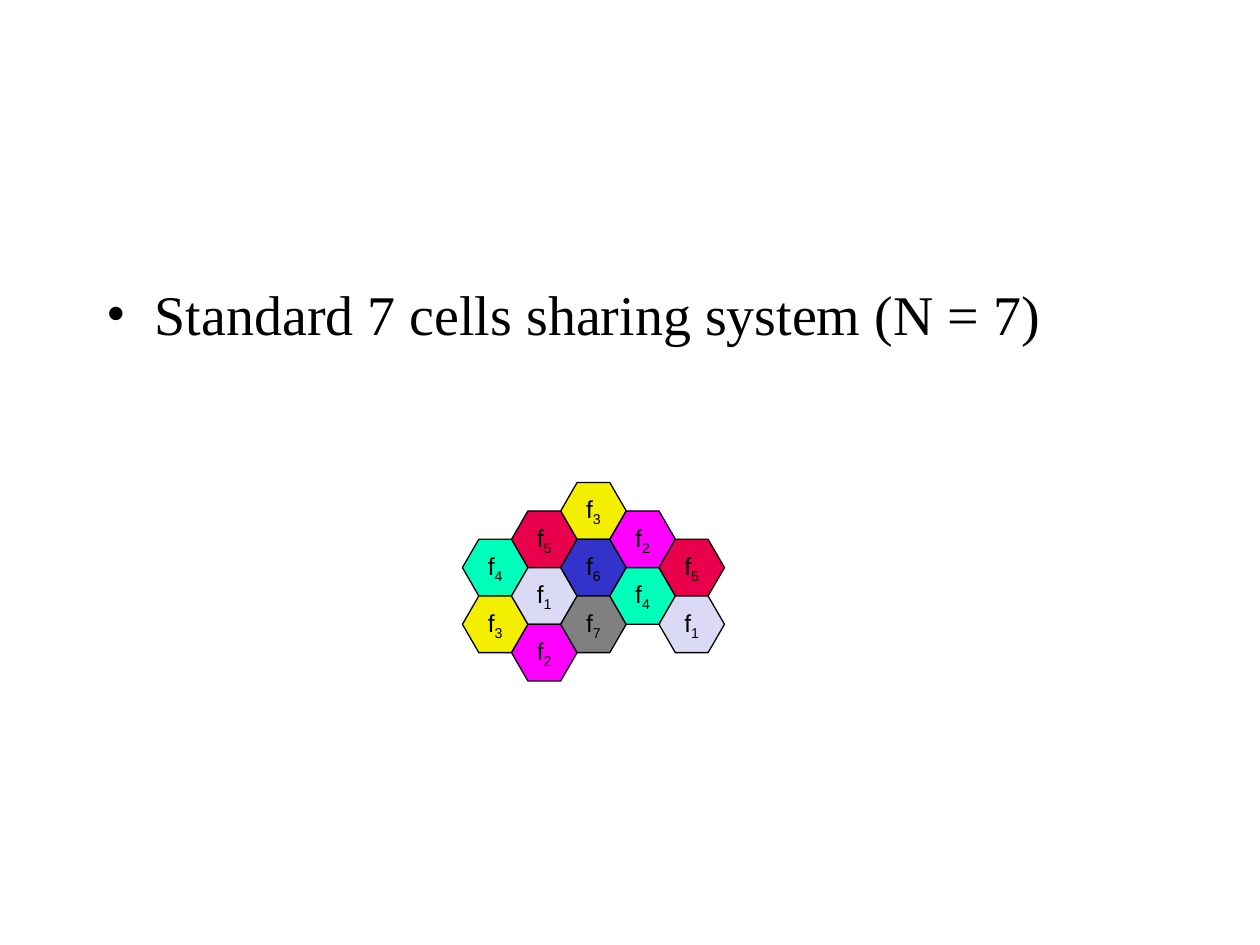
from lxml import etree
from pptx import Presentation
from pptx.dml.color import RGBColor
from pptx.enum.shapes import MSO_SHAPE
from pptx.enum.text import MSO_ANCHOR, PP_ALIGN
from pptx.oxml.ns import qn
from pptx.util import Inches, Pt

BULLET_TEXT = "Standard 7 cells sharing system (N = 7)"

# Each column runs left to right; a cell is (half-row, frequency).
CELL_COLUMNS = [
    [(2, "4"), (4, "3")],
    [(1, "5"), (3, "1"), (5, "2")],
    [(0, "3"), (2, "6"), (4, "7")],
    [(1, "2"), (3, "4")],
    [(2, "5"), (4, "1")],
]
FREQUENCY_COLORS = {
    "1": "DADAF6",
    "2": "FF00FF",
    "3": "F4EE00",
    "4": "01FFBC",
    "5": "E8004D",
    "6": "3333CC",
    "7": "808080",
}
COLORS = {"black": "000000"}

GRID_LEFT, GRID_TOP = 3.67, 3.83
CELL_WIDTH, CELL_HEIGHT, CELL_SLANT = 0.52, 0.45, 0.13
COLUMN_STEP = CELL_WIDTH - CELL_SLANT
HALF_ROW_STEP = CELL_HEIGHT / 2


def add_run(paragraph, text, font_name, size):
    run = paragraph.add_run()
    run.text = text
    run.font.name = font_name
    run.font.size = Pt(size)
    run.font.color.rgb = RGBColor.from_string(COLORS["black"])
    return run


def add_bullet_text(slide):
    box = slide.shapes.add_textbox(Inches(0.75), Inches(2.17), Inches(8.5), Inches(4.5))
    box.text_frame.word_wrap = True
    paragraph = box.text_frame.paragraphs[0]
    paragraph.space_before = Pt(8)
    add_run(paragraph, BULLET_TEXT, "Times New Roman", 32)
    properties = paragraph._p.get_or_add_pPr()
    properties.set("marL", str(Inches(0.38)))
    properties.set("indent", str(-Inches(0.38)))
    etree.SubElement(properties, qn("a:buFont")).set("typeface", "Times New Roman")
    etree.SubElement(properties, qn("a:buChar")).set("char", "•")


def add_cell(group, left, top, frequency):
    cell = group.shapes.add_shape(
        MSO_SHAPE.HEXAGON, Inches(left), Inches(top), Inches(CELL_WIDTH), Inches(CELL_HEIGHT)
    )
    cell.adjustments[0] = CELL_SLANT / CELL_HEIGHT
    cell.shadow.inherit = False
    cell.fill.solid()
    cell.fill.fore_color.rgb = RGBColor.from_string(FREQUENCY_COLORS[frequency])
    cell.line.color.rgb = RGBColor.from_string(COLORS["black"])
    cell.line.width = Pt(0.75)

    frame = cell.text_frame
    frame.word_wrap = False
    frame.vertical_anchor = MSO_ANCHOR.MIDDLE
    paragraph = frame.paragraphs[0]
    paragraph.alignment = PP_ALIGN.CENTER
    add_run(paragraph, "f", "Arial", 14)
    subscript = add_run(paragraph, frequency, "Arial", 14)
    subscript.font._element.set("baseline", "-25000")


def main():
    presentation = Presentation()
    presentation.slide_width = Inches(10)
    presentation.slide_height = Inches(7.5)
    slide = presentation.slides.add_slide(presentation.slide_layouts[6])

    add_bullet_text(slide)
    cell_group = slide.shapes.add_group_shape()
    for column, cells in enumerate(CELL_COLUMNS):
        for half_row, frequency in cells:
            left = GRID_LEFT + column * COLUMN_STEP
            top = GRID_TOP + half_row * HALF_ROW_STEP
            add_cell(cell_group, left, top, frequency)

    presentation.save("out.pptx")


if __name__ == "__main__":
    main()
